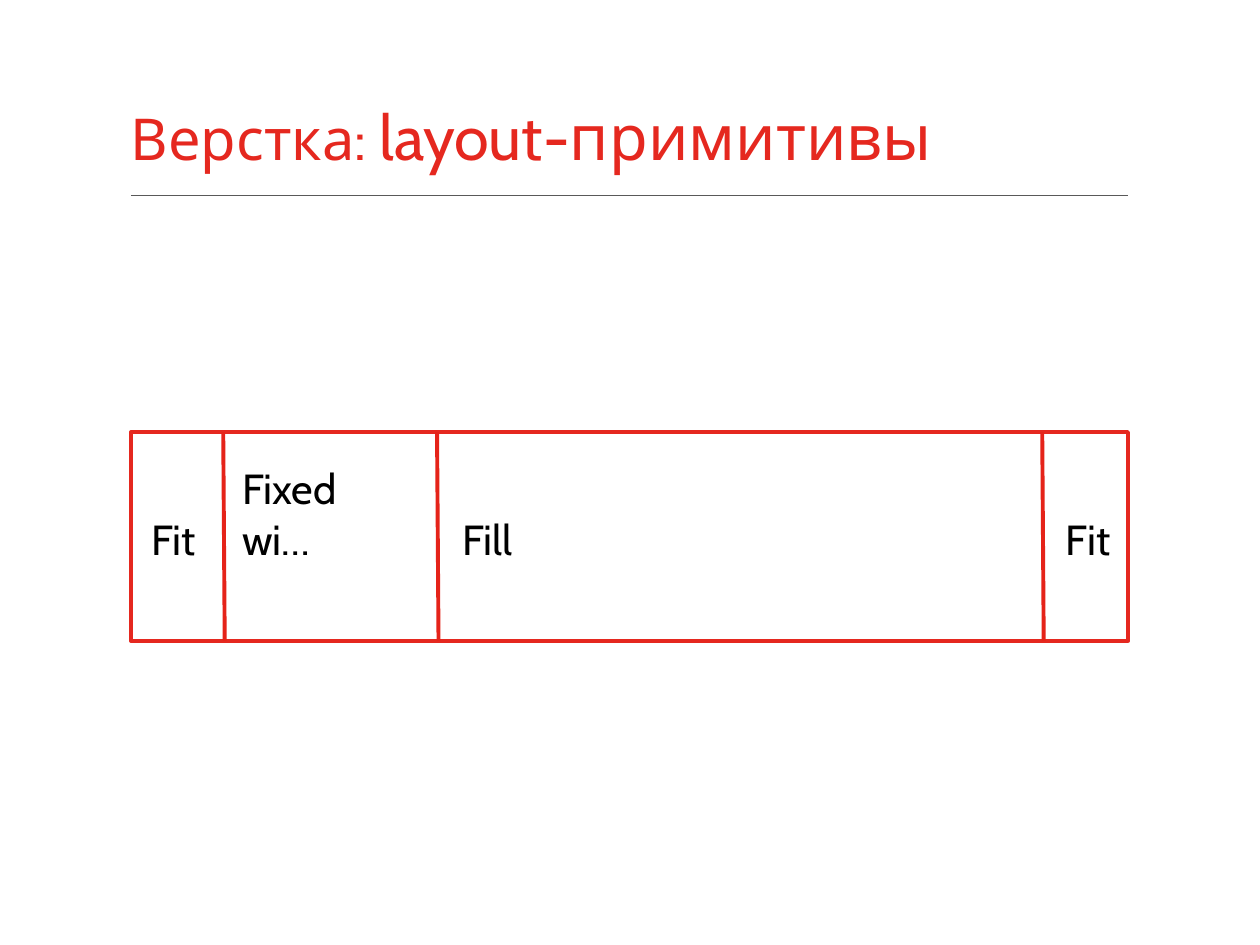
from pptx import Presentation
from pptx.dml.color import RGBColor
from pptx.enum.shapes import MSO_CONNECTOR, MSO_SHAPE
from pptx.enum.text import MSO_ANCHOR
from pptx.oxml.ns import qn
from pptx.util import Cm, Pt
from lxml.etree import SubElement

# Content
TITLE = [("Верстка: ", 33), ("layout-примитивы", 36)]
CELLS = [("Fit", 3.05), ("Fixed wi…", 4.88), ("Fill", 9.32), ("Fit", 21.49)]
DIVIDERS = [4.5, 8.81, 21.01]

# Geometry in cm, and formats
LEFT, WIDTH = 2.64, 20.1
ROW_TOP, ROW_HEIGHT = 8.71, 4.21
RULE_Y = 3.94
RED, DIVIDER_RED, GRAY, BLACK = "E5281F", "E52319", "595959", "000000"
TITLE_FRAME = dict(margin_left=0, margin_right=0, margin_top=Cm(0.13),
                   margin_bottom=Cm(0.41), word_wrap=True,
                   vertical_anchor=MSO_ANCHOR.BOTTOM)
LABEL_FRAME = dict(TITLE_FRAME, margin_right=Cm(0.25),
                   margin_bottom=Cm(0.13), word_wrap=False)


def rgb(color):
    return RGBColor.from_string(color)


def add_text(x, y, w, h, runs, color, frame):
    tf = slide.shapes.add_textbox(Cm(x), Cm(y), Cm(w), Cm(h)).text_frame
    for name, value in frame.items():
        setattr(tf, name, value)
    p = tf.paragraphs[0]
    for text, size in runs:
        r = p.add_run()
        r.text = text
        r.font.name, r.font.size = "Cabin", Pt(size)
        r.font.color.rgb = rgb(color)


def add_line(x1, y1, x2, y2, color, width):
    line = slide.shapes.add_connector(
        MSO_CONNECTOR.STRAIGHT, Cm(x1), Cm(y1), Cm(x2), Cm(y2))
    line.line.color.rgb = rgb(color)
    line.line.width = Pt(width)
    SubElement(line._element.spPr, qn("a:effectLst"))


prs = Presentation()
prs.slide_width, prs.slide_height = Cm(25.4), Cm(19.05)
slide = prs.slides.add_slide(prs.slide_layouts[6])

# Title with its rule
add_line(LEFT, RULE_Y, LEFT + WIDTH, RULE_Y, GRAY, 0.75)
add_text(LEFT, 0.91, WIDTH, 3, TITLE, RED, TITLE_FRAME)

# Row outline
sp = slide.shapes.add_shape(
    MSO_SHAPE.RECTANGLE, Cm(LEFT), Cm(ROW_TOP), Cm(WIDTH), Cm(ROW_HEIGHT))
sp.shadow.inherit = False
sp.fill.background()
sp.line.color.rgb = rgb(RED)
sp.line.width = Pt(2.25)

# Cell labels and dividers
for text, x in CELLS:
    add_text(x, 10.49, 2.54, 1, [(text, 24)], BLACK, LABEL_FRAME)
for x in DIVIDERS:
    add_line(x, ROW_TOP, x + 0.03, ROW_TOP + ROW_HEIGHT, DIVIDER_RED, 2.25)

prs.save("out.pptx")
